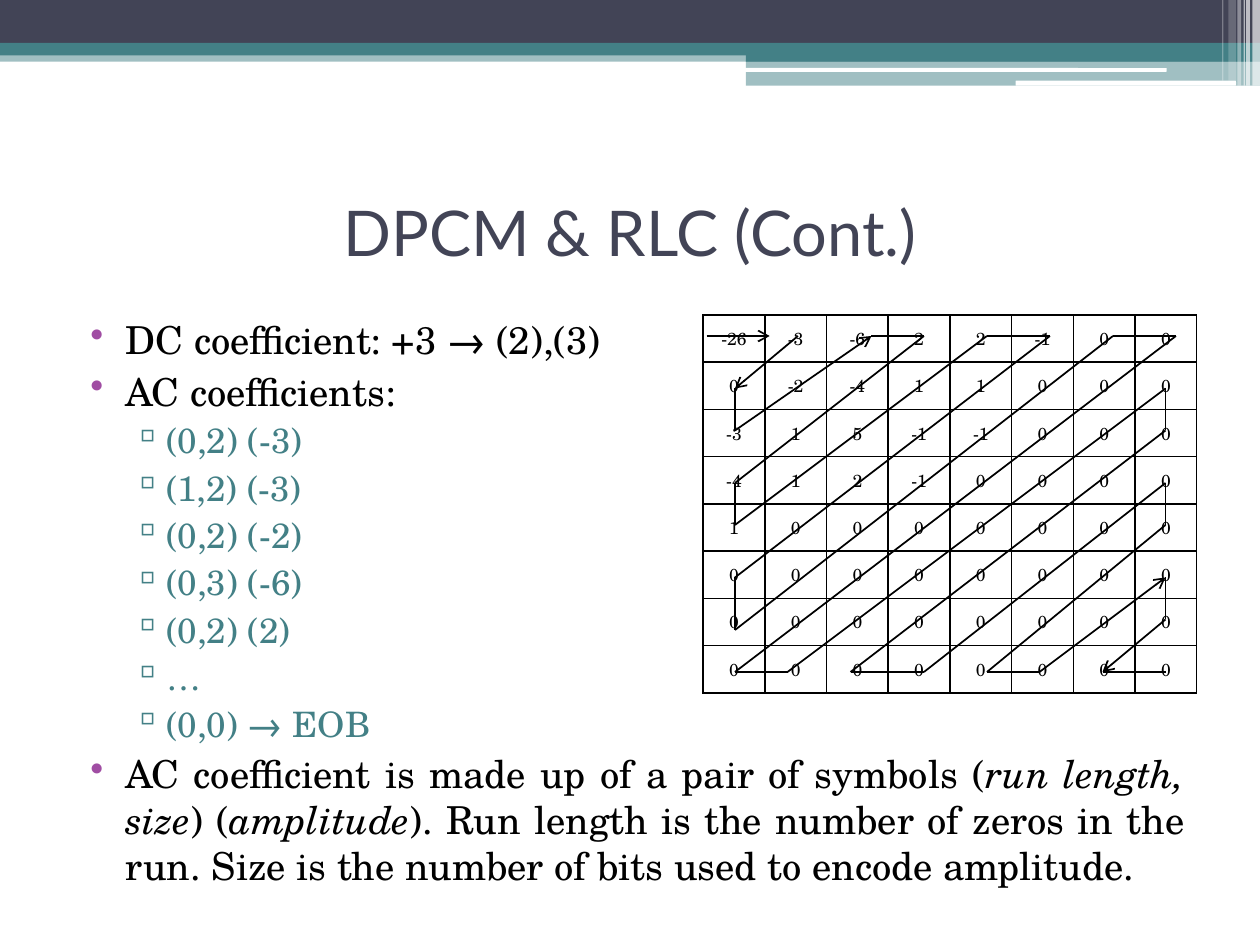
import dataclasses
import itertools
import typing

import lxml.etree
import pptx
import pptx.dml.color
import pptx.enum.shapes
import pptx.enum.text
import pptx.oxml.ns
import pptx.util

RGB = pptx.dml.color.RGBColor
Kind = pptx.enum.shapes.MSO_SHAPE
Align = pptx.enum.text.PP_ALIGN
Anchor = pptx.enum.text.MSO_ANCHOR
Pt = pptx.util.Pt
qn = pptx.oxml.ns.qn

NAVY = RGB(0x42, 0x44, 0x56)
TEAL = RGB(0x43, 0x80, 0x86)
PLUM = RGB(0xA0, 0x4D, 0xA3)
WHITE = RGB(0xFF, 0xFF, 0xFF)
BLACK = RGB(0, 0, 0)
SERIF = "TeX Gyre Schola"

WIDE, HIGH = pptx.util.Inches(10), pptx.util.Inches(7.5)
COLS, ROWS = 1000, 750  # fine grid that covers the slide
STEP = COLS / 120  # the scan path moves on a grid of 120 by 90


def col(n: float) -> int:
    return round(WIDE * n / COLS)


def row(n: float) -> int:
    return round(HIGH * n / ROWS)


def box(x: float, y: float, w: float, h: float) -> tuple[int, int, int, int]:
    """Turn grid units into slide lengths."""
    return col(x), row(y), col(w), row(h)


def style(item: typing.Any, form: dict) -> None:
    for key, val in form.items():
        setattr(item, key, val)


def add_xml(home: typing.Any, tag: str, **attrs: str) -> typing.Any:
    return lxml.etree.SubElement(home, qn(tag), attrs)


@dataclasses.dataclass
class Bar:
    x: float
    y: float
    w: float
    h: float
    tint: RGB
    alpha: int = 100
    kind: Kind = Kind.RECTANGLE


@dataclasses.dataclass
class Level:
    mark: str
    tint: RGB
    left: float
    hang: float
    font: dict


ROUND = Kind.ROUNDED_RECTANGLE
BARS = [
    Bar(0, 40, 1000, 9, TEAL, 50),
    Bar(0, 0, 1000, 34, NAVY),
    Bar(0, 34, 1000, 10, TEAL),
    Bar(592, 39, 408, 10, TEAL),
    Bar(592, 48, 408, 20, TEAL, 50),
    Bar(591, 54, 335, 3, WHITE, kind=ROUND),
    Bar(806, 64, 175, 4, WHITE, kind=ROUND),
    Bar(994, 0, 6, 68, WHITE, 65),
    Bar(989, 0, 3, 68, WHITE, 65),
    Bar(987, 0, 1, 68, WHITE, 60),
    Bar(982, 0, 3, 68, WHITE, 40),
    Bar(975, 0, 6, 64, WHITE, 20),
    Bar(970, 0, 1, 64, WHITE, 30),
]

MAIN = Level("•", PLUM, 40, 28, {"size": Pt(22), "name": SERIF})
SUB = Level("▫", TEAL, 72, 27, {"size": Pt(20), "name": SERIF})
# Asterisks enclose italic words.
LINES = [
    (MAIN, "DC coefficient: +3 → (2),(3)"),
    (MAIN, "AC coefficients:"),
    (SUB, "(0,2) (-3)"),
    (SUB, "(1,2) (-3)"),
    (SUB, "(0,2) (-2)"),
    (SUB, "(0,3) (-6)"),
    (SUB, "(0,2) (2)"),
    (SUB, "…"),
    (SUB, "(0,0) → EOB"),
    (MAIN, "AC coefficient is made up of a pair of symbols (*run length, size*) "
           "(*amplitude*). Run length is the number of zeros in the run. "
           "Size is the number of bits used to encode amplitude."),
]

SIDE = 8
BLOCK = [
    [-26, -3, -6, 2, 2, -1],
    [0, -2, -4, 1, 1],
    [-3, 1, 5, -1, -1],
    [-4, 1, 2, -1],
    [1],
    [], [], [],
]  # the rest of each row is zero

START = [(67.3, 32), (73.3, 32)]
SCAN = [
    (76, 32), (70, 37), (70, 41), (83, 32), (88, 32), (70, 46), (70, 50),
    (94, 32), (100, 32), (70, 55), (70, 60), (106, 32), (112, 32), (70, 64),
    (75, 64), (111, 37), (111, 41), (81, 64), (88, 64), (111, 46), (111, 50),
    (94, 64), (99, 64), (111, 55), (111, 59), (105, 64), (111, 64),
]
HEADS = {(73.3, 32), (70, 37), (83, 32), (111, 55), (105, 64)}


def draw_bar(slide: typing.Any, bar: Bar) -> None:
    shape = slide.shapes.add_shape(bar.kind, *box(bar.x, bar.y, bar.w, bar.h))
    shape.shadow.inherit = False
    shape.fill.solid()
    shape.fill.fore_color.rgb = bar.tint
    shape.line.fill.background()
    if bar.alpha < 100:
        tint = shape.element.spPr.find(".//" + qn("a:srgbClr"))
        add_xml(tint, "a:alpha", val=str(bar.alpha * 1000))


def set_title(slide: typing.Any, text: str) -> None:
    title = slide.shapes.title
    style(title, dict(zip(("left", "top", "width", "height"), box(50, 125, 900, 117))))
    title.text_frame.text = text
    title.text_frame.vertical_anchor = Anchor.MIDDLE
    para = title.text_frame.paragraphs[0]
    para.alignment = Align.CENTER
    style(para.runs[0].font, {"size": Pt(36), "name": "Lato"})
    para.runs[0].font.color.rgb = NAVY


def add_line(para: typing.Any, level: Level, text: str) -> None:
    style(para, {"alignment": Align.JUSTIFY, "space_before": Pt(3)})
    props = para._p.get_or_add_pPr()
    props.set("marL", str(col(level.left)))
    props.set("indent", str(-col(level.hang)))
    add_xml(add_xml(props, "a:buClr"), "a:srgbClr", val=str(level.tint))
    add_xml(props, "a:buChar", char=level.mark)
    for i, part in enumerate(text.split("*")):
        run = para.add_run()
        run.text = part
        style(run.font, level.font | {"italic": i % 2 == 1})
        run.font.color.rgb = BLACK if level is MAIN else TEAL


def add_body(slide: typing.Any) -> None:
    frame = slide.shapes.add_textbox(*box(50, 246, 900, 487)).text_frame
    frame.word_wrap = True
    for i, (level, text) in enumerate(LINES):
        para = frame.add_paragraph() if i else frame.paragraphs[0]
        add_line(para, level, text)


def fill_cell(cell: typing.Any, value: int) -> None:
    style(cell, dict.fromkeys(
        ("margin_left", "margin_right", "margin_top", "margin_bottom"), 0))
    cell.vertical_anchor = Anchor.MIDDLE
    cell.text = str(value)
    para = cell.text_frame.paragraphs[0]
    para.alignment = Align.CENTER
    style(para.runs[0].font, {"size": Pt(10), "name": SERIF, "bold": False})
    para.runs[0].font.color.rgb = BLACK
    props = cell._tc.get_or_add_tcPr()
    for edge in "LRTB":
        line = add_xml(props, f"a:ln{edge}", w=str(Pt(1)))
        add_xml(add_xml(line, "a:solidFill"), "a:srgbClr", val=str(BLACK))
    cell.fill.background()


def add_block(slide: typing.Any) -> None:
    table = slide.shapes.add_table(SIDE, SIDE, *box(558, 250, 392, 300)).table
    style(table, {"first_row": False, "horz_banding": False})
    for r, c in itertools.product(range(SIDE), repeat=2):
        value = BLOCK[r][c] if c < len(BLOCK[r]) else 0
        fill_cell(table.cell(r, c), value)


def draw_scan(slide: typing.Any, points: list[tuple[float, float]]) -> None:
    for start, end in itertools.pairwise(points):
        ends = [f(n * STEP) for p in (start, end) for f, n in zip((col, row), p)]
        line = slide.shapes.add_connector(
            pptx.enum.shapes.MSO_CONNECTOR.STRAIGHT, *ends)
        line.line.color.rgb = BLACK
        line.line.width = Pt(1)
        if end in HEADS:
            add_xml(line.line._get_or_add_ln(), "a:tailEnd", type="arrow")
        add_xml(line.element.spPr, "a:effectLst")


def main() -> None:
    deck = pptx.Presentation()
    style(deck, {"slide_width": WIDE, "slide_height": HIGH})
    slide = deck.slides.add_slide(deck.slide_layouts.get_by_name("Title Only"))
    for bar in BARS:
        draw_bar(slide, bar)
    set_title(slide, "DPCM & RLC (Cont.)")
    add_body(slide)
    add_block(slide)
    for points in (START, SCAN):
        draw_scan(slide, points)
    deck.save("out.pptx")


if __name__ == "__main__":
    main()
